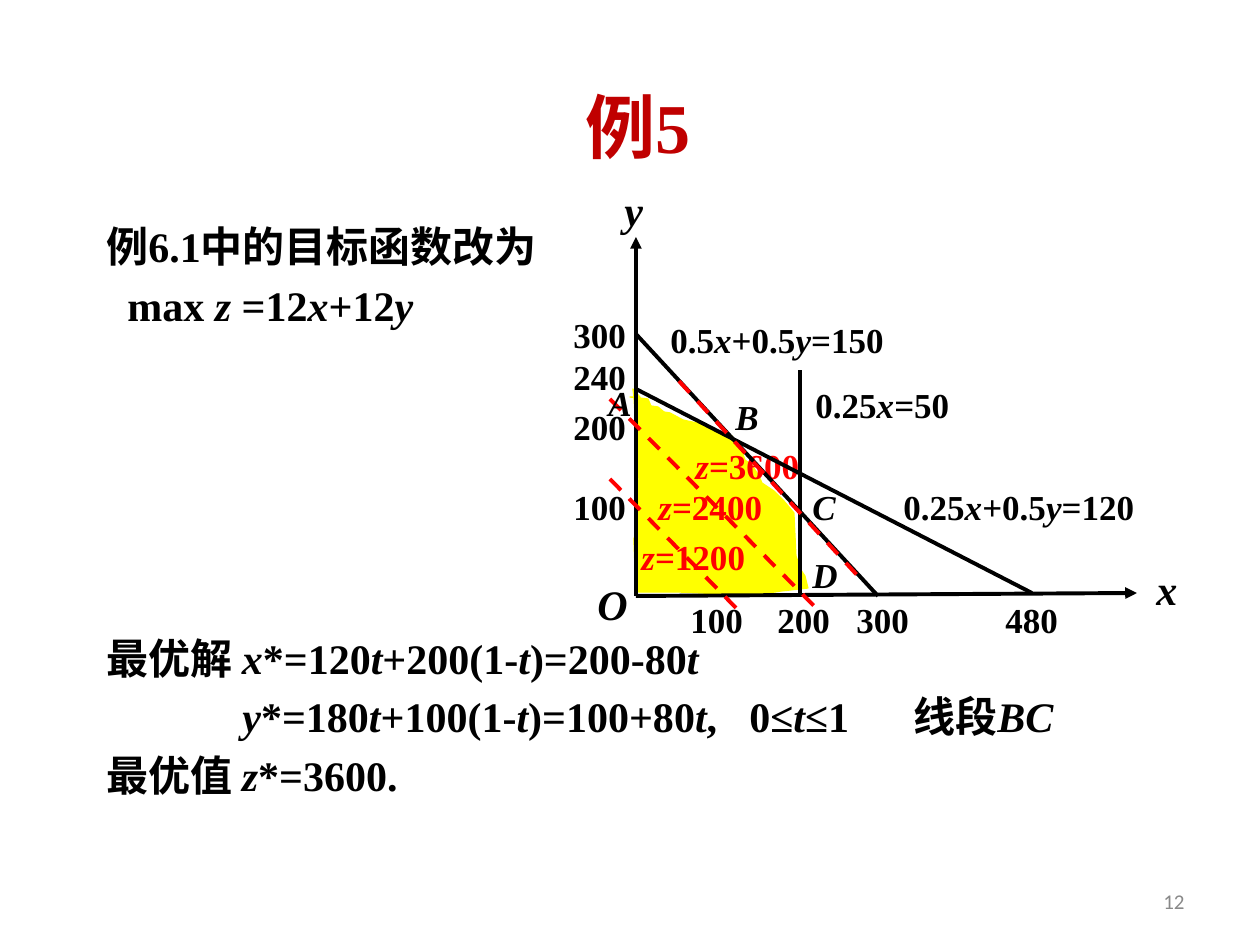
import lxml.etree
import pptx
import pptx.dml.color
import pptx.enum.dml
import pptx.enum.shapes
import pptx.enum.text
import pptx.oxml.ns
import pptx.util

EMU_PER_PX = 914400 / 126
BLACK, RED, YELLOW, TITLE_RED, GREY = "000000", "FF0000", "FFFF00", "C00000", "898989"
ALIGN = pptx.enum.text.PP_ALIGN
ANCHOR = pptx.enum.text.MSO_ANCHOR
SERIF = {"name": "Times New Roman", "bold": True}

FEASIBLE_REGION = [
    (73, 211), (74, 218), (79, 301), (76, 355), (74, 361), (76, 413), (79, 414),
    (119, 414), (187, 417), (215, 414), (221, 413), (248, 410), (245, 398),
    (241, 392), (236, 378), (234, 335), (224, 323), (214, 313), (202, 305),
    (199, 298), (192, 287), (185, 282), (181, 271), (175, 264), (172, 258),
    (159, 254), (153, 250), (138, 245), (132, 244), (123, 242), (110, 235),
    (104, 234), (98, 229), (91, 228), (88, 221), (70, 219), (80, 219),
]
ORIGIN = (76, 418)
AXES = [(ORIGIN, (577, 415)), (ORIGIN, (76, 59))]
CONSTRAINTS = [
    ((76, 211), (472, 415)),
    ((76, 156), (318, 418)),
    ((240, 418), (240, 192)),
]
OBJECTIVES = [
    ((50, 301), (180, 434)),
    ((50, 221), (260, 434)),
    ((119, 203), (297, 397)),
]
AXIS_NAMES = [("_O_", 25, 394), ("_x_", 584, 379), ("_y_", 52, 0)]
# Text, left, top, width
EQUATIONS = [
    ("0.25_x_+0.5_y_=120", 331, 301, 271),
    ("0.5_x_+0.5_y_=150", 98, 134, 258),
    ("0.25_x_=50", 243, 199, 183),
]
VERTICES = [("_A_", 36, 197), ("_B_", 163, 211), ("_C_", 240, 301), ("_D_", 240, 369)]
X_TICKS = [("100", 118), ("200", 205), ("300", 284), ("480", 433)]
Y_TICKS = [(["300", "240"], 129), (["200"], 221), (["100"], 301)]


def px(length):
    return pptx.util.Emu(round(length * EMU_PER_PX))


def rgb(hex_color):
    return pptx.dml.color.RGBColor.from_string(hex_color)


def add_text(shapes, box, lines, size, color=BLACK, font=SERIF, align=ALIGN.JUSTIFY,
             anchor=ANCHOR.TOP, space_before=0, tabs=()):
    """Place lines of text; parts between underscores are italic."""
    frame = shapes.add_textbox(*map(px, box)).text_frame
    frame.word_wrap = True
    frame.vertical_anchor = anchor
    for index, line in enumerate(lines):
        paragraph = frame.paragraphs[0] if index == 0 else frame.add_paragraph()
        if tabs and "\t" in line:
            add_tabs(paragraph, tabs)
        paragraph.alignment = align
        if index and space_before:
            paragraph.space_before = pptx.util.Pt(space_before)
        for part, words in enumerate(line.split("_")):
            if not words:
                continue
            run = paragraph.add_run()
            run.text = words
            formats = {**font, "size": pptx.util.Pt(size), "italic": part % 2 == 1}
            for attribute, value in formats.items():
                setattr(run.font, attribute, value)
            run.font.color.rgb = rgb(color)


def add_tabs(paragraph, positions):
    qn = pptx.oxml.ns.qn
    properties = paragraph._p.get_or_add_pPr()
    tab_list = lxml.etree.SubElement(properties, qn("a:tabLst"))
    for position in positions:
        lxml.etree.SubElement(tab_list, qn("a:tab"), pos=str(px(position)), algn="l")


def add_line(shapes, begin, end, color=BLACK, dashed=False, arrow=False):
    qn = pptx.oxml.ns.qn
    connector = shapes.add_connector(
        pptx.enum.shapes.MSO_CONNECTOR.STRAIGHT, *map(px, (*begin, *end)))
    connector.line.color.rgb = rgb(color)
    connector.line.width = pptx.util.Pt(2.25)
    if dashed:
        connector.line.dash_style = pptx.enum.dml.MSO_LINE.DASH
    if arrow:
        lxml.etree.SubElement(connector.line._get_or_add_ln(), qn("a:tailEnd"), type="triangle")
    lxml.etree.SubElement(connector._element.spPr, qn("a:effectLst"))


def add_region(shapes, left, top):
    first, *rest = FEASIBLE_REGION
    builder = shapes.build_freeform(*first, scale=EMU_PER_PX)
    builder.add_line_segments(rest, close=True)
    region = builder.convert_to_shape(px(left), px(top))
    region.shadow.inherit = False
    region.fill.solid()
    region.fill.fore_color.rgb = rgb(YELLOW)
    region.line.color.rgb = rgb(YELLOW)
    region.line.width = pptx.util.Pt(0.75)


def add_graph(slide, left, top):
    """Draw the feasible region with its constraints and objective lines."""
    shapes = slide.shapes.add_group_shape().shapes

    def label(lines, x, y, width, height=54, size=20, color=BLACK):
        add_text(shapes, (left + x, top + y, width, height), lines, size, color)

    def draw(segments, **style):
        for segment in segments:
            begin, end = [(left + x, top + y) for x, y in segment]
            add_line(shapes, begin, end, **style)

    add_region(shapes, left, top)
    label(["_z_=3600"], 123, 260, 134, color=RED)
    draw(AXES, arrow=True)
    draw(CONSTRAINTS)
    draw(OBJECTIVES, color=RED, dashed=True)

    for name, x, y in AXIS_NAMES:
        label([name], x, y, 67, 73, size=24)
    for equation, x, y, width in EQUATIONS:
        label([equation], x, y, width)
    for vertex, x, y in VERTICES:
        label([vertex], x, y, 60)
    for tick, x in X_TICKS:
        label([tick], x, 414, 80)
    for ticks, y in Y_TICKS:
        label(ticks, 1, y, 80, 49 * len(ticks))
    label(["_z_=1200"], 69, 351, 140, color=RED)
    label(["_z_=2400"], 86, 301, 154, color=RED)


def add_statement(slide, left, top, width):
    add_text(slide.shapes, (left, top, width, 130),
             ["例6.1中的目标函数改为", "\tmax _z _=12_x_+12_y_"],
             24, align=ALIGN.LEFT, space_before=4.8, tabs=[21])


def add_solution(slide, left, top, width):
    add_text(slide.shapes, (left, top, width, 190),
             ["最优解 _x_*=120_t_+200(1-_t_)=200-80_t_",
              "\t_y_*=180_t_+100(1-_t_)=100+80_t_,\t0≤_t_≤1\t线段_BC_",
              "最优值 _z_*=3600."],
             24, align=ALIGN.LEFT, space_before=4.8, tabs=[136, 643, 807])


def main():
    presentation = pptx.Presentation()
    presentation.slide_width, presentation.slide_height = px(1260), px(945)
    slide = presentation.slides.add_slide(presentation.slide_layouts[6])
    add_text(slide.shapes, (103, 66, 1071, 120), ["例5"], 40, TITLE_RED,
             align=ALIGN.CENTER, anchor=ANCHOR.MIDDLE)
    add_statement(slide, 94, 214, 500)
    add_solution(slide, 94, 626, 1071)
    add_text(slide.shapes, (903, 876, 294, 50), ["12"], 12, GREY, {"name": "Calibri"},
             ALIGN.RIGHT, ANCHOR.MIDDLE)
    add_graph(slide, 560, 178)
    presentation.save("out.pptx")


if __name__ == "__main__":
    main()
